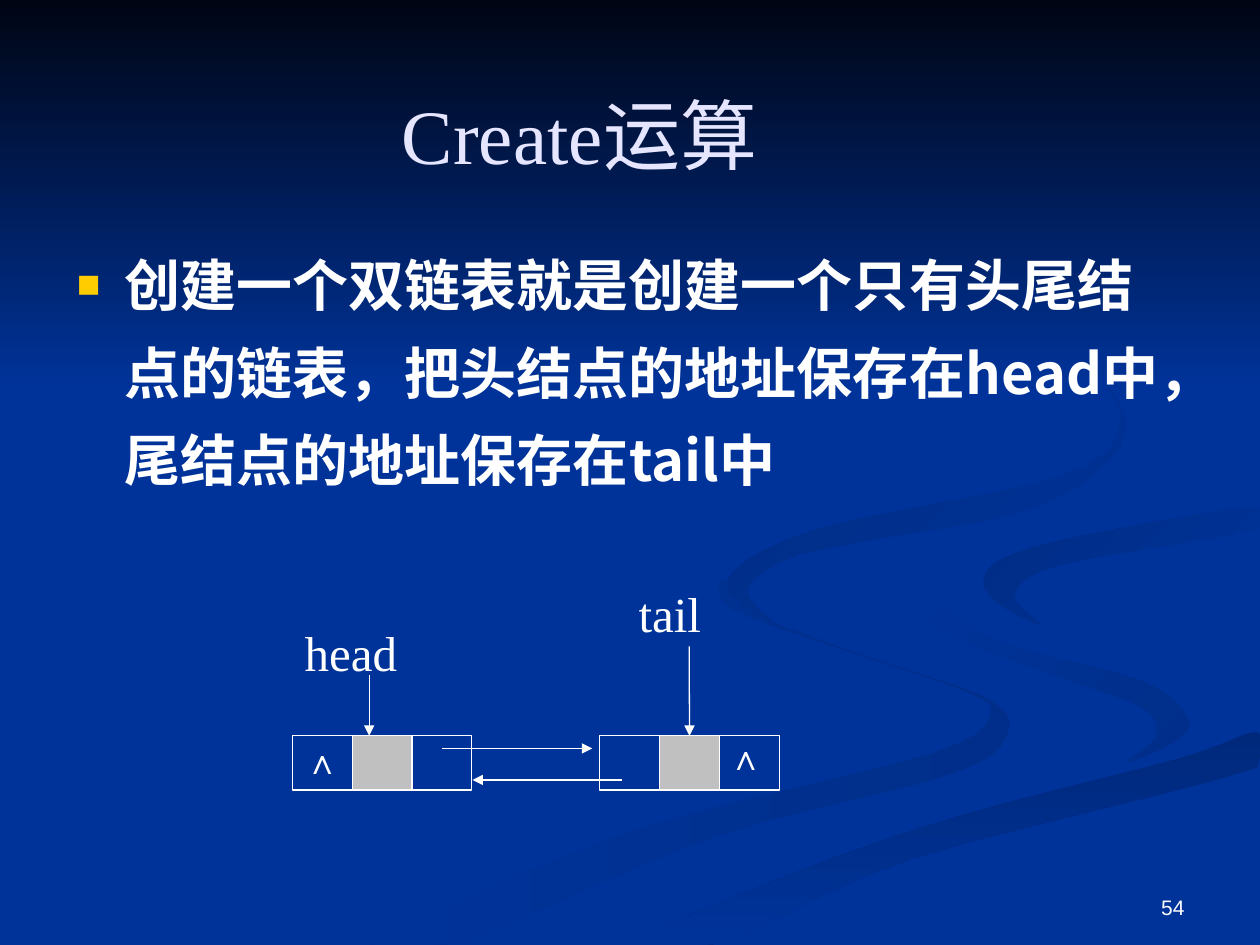
from lxml.etree import SubElement
from pptx import Presentation
from pptx.dml.color import RGBColor
from pptx.enum.shapes import MSO_CONNECTOR, MSO_SHAPE
from pptx.enum.text import MSO_ANCHOR, MSO_AUTO_SIZE, PP_ALIGN
from pptx.oxml.ns import qn
from pptx.util import Inches, Pt

BLUE, WHITE, GREY = "003399", "FFFFFF", "C0C0C0"
SANS, SERIF = "Noto Sans CJK SC", "Times New Roman"
WIDTH, HEIGHT = 10, 7.5
TOP, WIDE, HIGH = 5.84, 0.475, 0.43  # list cells

# Background bands: start colour, end colour, clockwise angle, key points
BANDS = [
    ("002E8A", BLUE, 180, [
        (7.81, 5.53), (6.82, 5.19), (5.94, 4.85), (5.75, 4.59), (5.81, 4.83),
        (6.79, 5.19), (7.62, 5.47), (7.86, 5.66), (7.39, 5.98), (4.99, 6.61),
        (3, 7.49), (3.61, 7.49), (5.64, 6.65), (7.56, 6.14), (8, 5.81)]),
    ("002E8A", BLUE, 225, [
        (9.43, 5.7), (9.05, 5.4), (7.92, 5.09), (7.24, 4.64), (7.46, 5),
        (8.38, 5.36), (9.07, 5.62), (9.17, 5.85), (8.94, 6.05), (9.32, 5.89)]),
    ("00297C", BLUE, 90, [
        (5.03, 7.49), (5.71, 7.49), (7.22, 6.82), (9.98, 6.09), (9.98, 5.81),
        (9.36, 6.02), (7.64, 6.47), (6.3, 6.93)]),
    (BLUE, "002C85", 225, [
        (7.81, 4.6), (7.91, 4.78), (8.26, 4.96), (8.05, 4.72), (8.43, 4.48),
        (9.98, 4.2), (9.98, 4.02), (8.65, 4.24), (7.99, 4.42)]),
    (BLUE, "002B81", 225, [
        (6.83, 4.3), (8.25, 4.02), (8.94, 3.44), (8.54, 2.83), (7.62, 2.33),
        (8.55, 2.85), (8.89, 3.35), (8.42, 3.78), (6.49, 4.2), (5.77, 4.62),
        (6.22, 5), (5.93, 4.7), (6.24, 4.44)]),
]


def paint(color, code):
    color.rgb = RGBColor.from_string(code)


def smooth(keys, steps=5):
    """Closed Catmull-Rom curve through the key points, kept on the slide."""
    dots = []
    for i in range(len(keys)):
        near = [keys[(i + k) % len(keys)] for k in (-1, 0, 1, 2)]
        for t in (step / steps for step in range(steps)):
            x, y = (b + t / 2 * (c - a + t * (2 * a - 5 * b + 4 * c - d
                                              + t * (3 * (b - c) + d - a)))
                    for a, b, c, d in zip(*near))
            dots.append((Inches(min(x, WIDTH)), Inches(min(y, HEIGHT))))
    return dots


def shade(shape, start, end, angle):
    shape.shadow.inherit = False
    shape.line.fill.background()
    shape.fill.gradient()
    shape.fill.gradient_angle = 360 - angle
    for spot, (stop, code) in enumerate(zip(shape.fill.gradient_stops, (start, end))):
        paint(stop.color, code)
        stop.position = spot


def add_band(slide, start, end, angle, keys):
    dots = smooth(keys)
    maker = slide.shapes.build_freeform(*dots[0])
    maker.add_line_segments(dots[1:], close=True)
    shade(maker.convert_to_shape(), start, end, angle)


def place(shape, box):
    for name, size in zip(("left", "top", "width", "height"), box):
        setattr(shape, name, Inches(size))


def write(shape, text, size, face=SERIF, code=WHITE, bold=False, inset=(0.1, 0.05),
          anchor=MSO_ANCHOR.TOP, align=PP_ALIGN.LEFT, wrap=True):
    frame = shape.text_frame
    across, down = map(Inches, inset)
    look = {"auto_size": MSO_AUTO_SIZE.NONE, "word_wrap": wrap,
            "vertical_anchor": anchor, "margin_left": across,
            "margin_right": across, "margin_top": down, "margin_bottom": down}
    for name, value in look.items():
        setattr(frame, name, value)
    para = frame.paragraphs[0]
    para.alignment, para.space_before = align, Pt(0)
    run = para.add_run()
    run.text = text
    for name, value in {"name": face, "size": Pt(size), "bold": bold}.items():
        setattr(run.font, name, value)
    paint(run.font.color, code)
    SubElement(run.font._element, qn("a:ea")).set("typeface", SANS)
    return para


def add_text(slide, text, box, size, **look):
    write(slide.shapes.add_textbox(*map(Inches, box)), text, size, **look)


def add_mark(para):
    props = para._p.get_or_add_pPr()
    props.set("marL", str(Inches(0.38)))
    props.set("indent", str(-Inches(0.38)))
    color = SubElement(props, qn("a:buClr"))
    SubElement(color, qn("a:srgbClr")).set("val", "FFCC00")
    for tag, key, value in (("buSzPct", "val", "70000"),
                            ("buFont", "typeface", "Arial"),
                            ("buChar", "char", "■")):
        SubElement(props, qn("a:" + tag)).set(key, value)


def add_cell(slide, left, code=None):
    cell = slide.shapes.add_shape(MSO_SHAPE.RECTANGLE,
                                  *map(Inches, (left, TOP, WIDE, HIGH)))
    cell.shadow.inherit = False
    if code:
        cell.fill.solid()
        paint(cell.fill.fore_color, code)
    else:
        cell.fill.background()
    paint(cell.line.color, WHITE)
    cell.line.width = Pt(0.75)
    return cell


def add_node(slide, left):
    for step in (0, 2):
        add_cell(slide, left + step * WIDE)
    return add_cell(slide, left + WIDE, GREY)


def add_arrow(slide, x1, y1, x2, y2):
    arrow = slide.shapes.add_connector(MSO_CONNECTOR.STRAIGHT,
                                       *map(Inches, (x1, y1, x2, y2)))
    paint(arrow.line.color, WHITE)
    arrow.line.width = Pt(0.75)
    SubElement(arrow.line._get_or_add_ln(), qn("a:tailEnd")).set("type", "triangle")
    SubElement(arrow._element.spPr, qn("a:effectLst"))
    return arrow


def main():
    deck = Presentation()
    deck.slide_width, deck.slide_height = Inches(WIDTH), Inches(HEIGHT)
    slide = deck.slides.add_slide(deck.slide_layouts[1])

    # Background
    slide.background.fill.solid()
    paint(slide.background.fill.fore_color, BLUE)
    for band in BANDS:
        add_band(slide, *band)
    sky = slide.shapes.add_shape(MSO_SHAPE.RECTANGLE, 0, 0, Inches(WIDTH), Inches(3.08))
    shade(sky, "000514", BLUE, 90)

    # Title and body, brought in front of the bands
    title, body = slide.shapes.title, slide.placeholders[1]
    for shape, box in ((title, (0.35, 0.44, 8.5, 1.25)), (body, (0.51, 1.78, 8.9, 2.75))):
        place(shape, box)
        slide.shapes._spTree.append(shape._element)
    write(title, "Create运算", 44, code="E5E5FF", anchor=MSO_ANCHOR.MIDDLE,
          align=PP_ALIGN.CENTER)
    para = write(body, "创建一个双链表就是创建一个只有头尾结点的链表，把头结点的地址"
                 "保存在head中，尾结点的地址保存在tail中", 32, face=SANS, bold=True)
    para.line_spacing = 1.3
    add_mark(para)

    # Head and tail nodes
    add_node(slide, 2.32)
    last = add_node(slide, 4.76)
    add_text(slide, "head", (2.32, 4.89, 1.43, 0.57), 28)
    add_text(slide, "tail", (4.97, 4.58, 1.53, 0.57), 28)
    for left, top in ((2.42, 5.87), (5.78, 5.84)):
        add_text(slide, "∧", (left, top, 0.28, 0.33), 20, bold=True,
                 inset=(0, 0), wrap=False)

    # Links between nodes, and pointers to them
    add_arrow(slide, 3.51, 5.94, 4.7, 5.94)
    add_arrow(slide, 4.94, 6.19, 3.75, 6.19)
    add_arrow(slide, 2.93, 5.36, 2.93, TOP)
    add_arrow(slide, 5.47, 5.13, 5.47, TOP).end_connect(last, 0)

    # Page number
    add_text(slide, "54", (7.17, 6.83, 2.33, 0.52), 12, face="Arial",
             anchor=MSO_ANCHOR.BOTTOM, align=PP_ALIGN.RIGHT)
    deck.save("out.pptx")


if __name__ == "__main__":
    main()
